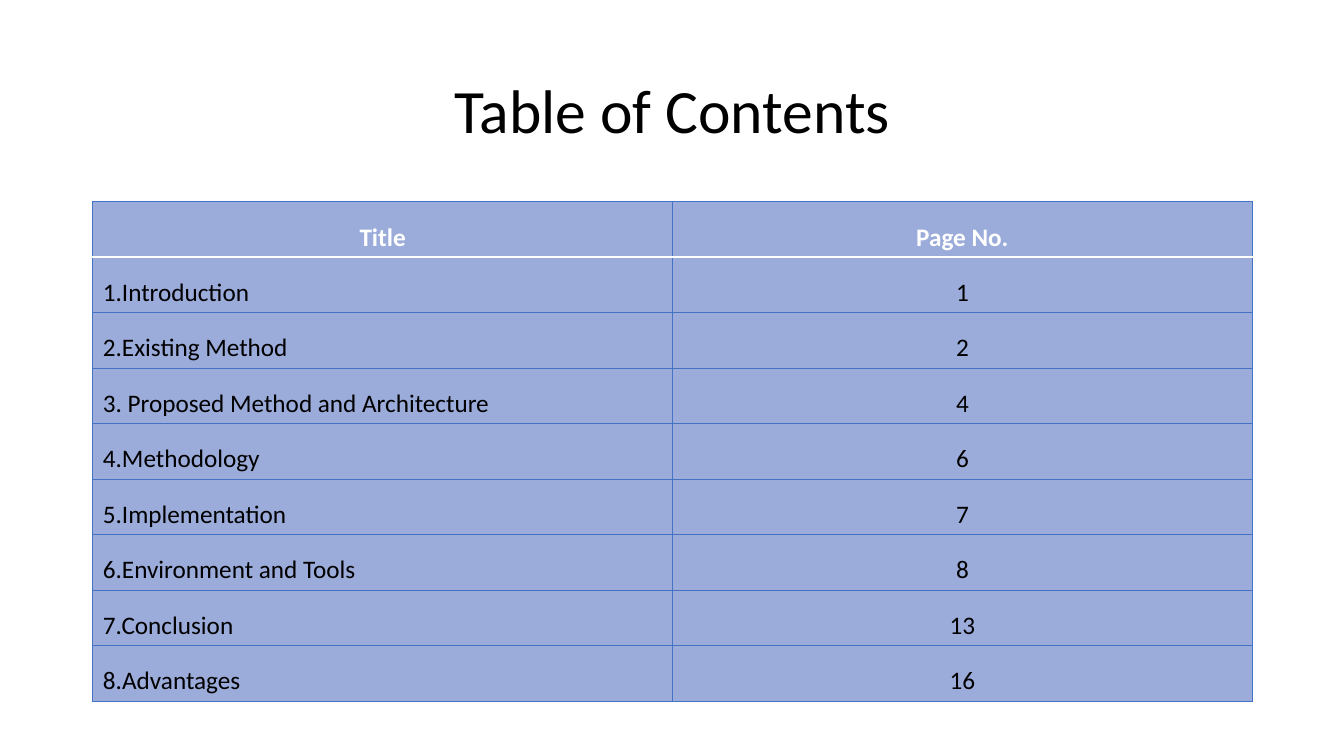
from lxml.etree import SubElement as Sub
from pptx import Presentation
from pptx.dml.color import RGBColor
from pptx.enum.text import MSO_ANCHOR as Anchor, PP_ALIGN as Align
from pptx.oxml.ns import qn
from pptx.util import Inches, Pt

HEAD = "Table of Contents"
ROWS = [
    ("Title", "Page No."),
    ("1.Introduction", "1"),
    ("2.Existing Method", "2"),
    ("3. Proposed Method and Architecture", "4"),
    ("4.Methodology", "6"),
    ("5.Implementation", "7"),
    ("6.Environment and Tools", "8"),
    ("7.Conclusion", "13"),
    ("8.Advantages", "16"),
]
LEFT, WIDTH = 0.92, 11.5
TOP, ROW_H = 2, 0.55
BLACK, WHITE, BLUE, FILL = "000000", "FFFFFF", "4472C4", "9BABDA"


def color(code):
    return RGBColor.from_string(code)


def write(frame, text, size, code, align, space, bold=False):
    para = frame.paragraphs[0]
    para.alignment = align
    para.line_spacing = space
    run = para.add_run()
    run.text = text
    font = run.font
    font.name, font.size, font.bold = "Calibri", Pt(size), bold
    font.color.rgb = color(code)


def edge(cell, side, code, width):
    props = cell._tc.get_or_add_tcPr()
    line = Sub(props, qn("a:ln" + side), w=str(Pt(width)))
    fill = Sub(line, qn("a:solidFill"))
    Sub(fill, qn("a:srgbClr"), val=code)


def add_title(slide):
    box = slide.shapes.add_textbox(
        Inches(LEFT), Inches(0.4), Inches(WIDTH), Inches(1.45))
    frame = box.text_frame
    frame.word_wrap = True
    frame.vertical_anchor = Anchor.MIDDLE
    write(frame, HEAD, 44, BLACK, Align.CENTER, 0.9)


def add_contents(slide):
    table = slide.shapes.add_table(
        len(ROWS), 2, Inches(LEFT), Inches(TOP),
        Inches(WIDTH), Inches(ROW_H * len(ROWS))).table
    table.horz_banding = False
    for r, row in enumerate(ROWS):
        head = r == 0
        for c, text in enumerate(row):
            cell = table.cell(r, c)
            for side in "LRTB":
                pale = (r, side) in ((0, "B"), (1, "T"))
                edge(cell, side, WHITE if pale else BLUE, 1 if pale else 0.5)
            cell.fill.solid()
            cell.fill.fore_color.rgb = color(FILL)
            align = Align.CENTER if head or c == 1 else Align.LEFT
            write(cell.text_frame, text, 18, WHITE if head else BLACK,
                  align, 1.5, head)


def main():
    deck = Presentation()
    deck.slide_width, deck.slide_height = Inches(13.33), Inches(7.5)
    slide = deck.slides.add_slide(deck.slide_layouts[6])
    add_title(slide)
    add_contents(slide)
    deck.save("out.pptx")


if __name__ == "__main__":
    main()
